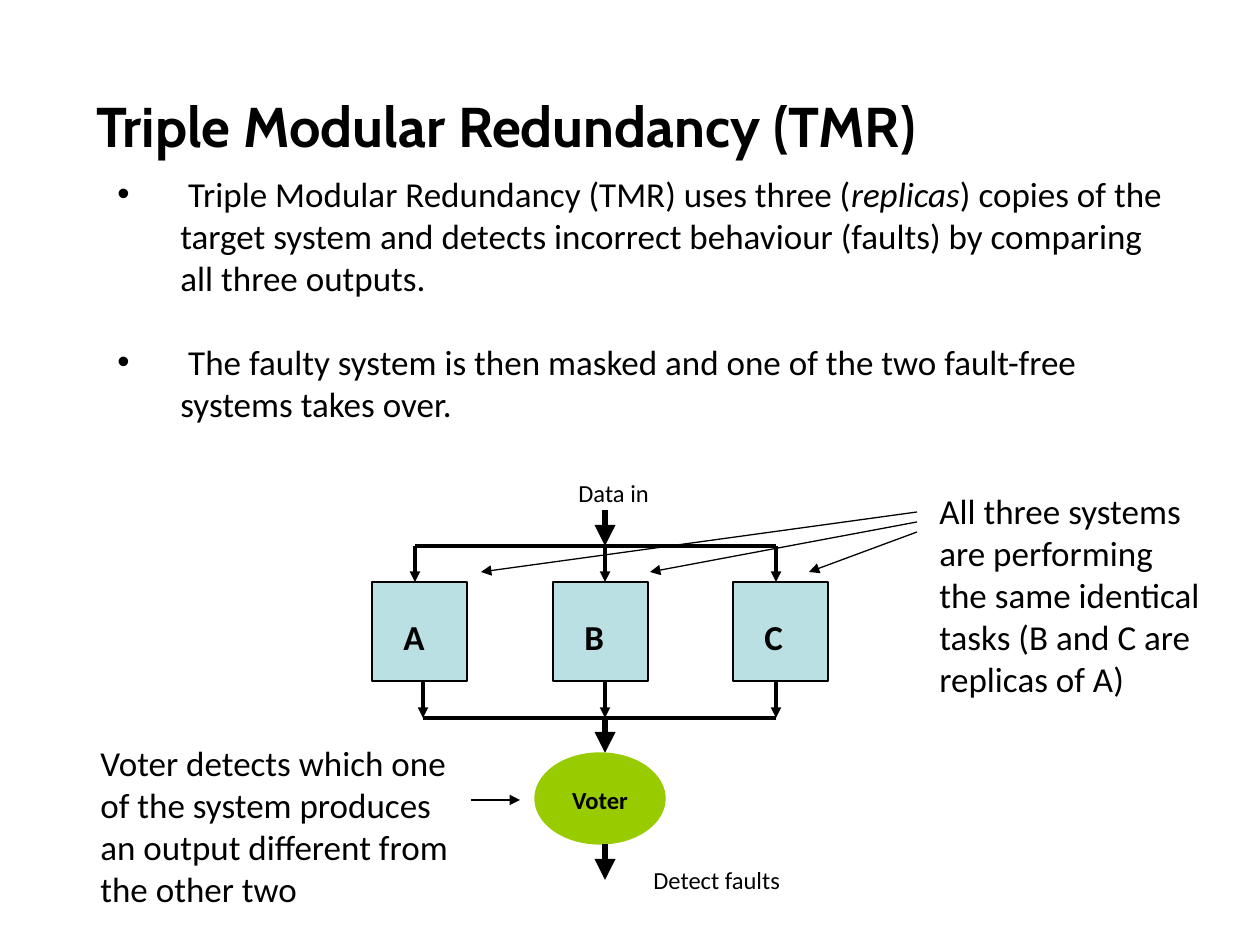
from collections import namedtuple
from dataclasses import dataclass

from lxml import etree
from pptx import Presentation
from pptx.dml.color import RGBColor
from pptx.enum import shapes, text
from pptx.oxml import ns
from pptx.util import Emu, Pt

PX = 914400 / 126  # EMU in one px
Box = namedtuple("Box", "left top width height")


@dataclass(frozen=True)
class Theme:
    ink: str = "000000"
    module: str = "BBE0E3"
    voter: str = "99CC00"
    heading_font: str = "Cabin"
    body_font: str = "Calibri"
    title_size: int = 32
    body_size: int = 20
    label_size: int = 14
    thin: float = 0.75
    medium: float = 2
    thick: float = 4


THEME = Theme()


def px(length):
    return Emu(round(length * PX))


def inside(box, left, top, width, height):
    return Box(box.left + left, box.top + top, width, height)


def add_element(parent, tag, **attributes):
    element = etree.SubElement(parent, ns.qn(tag))
    for name, value in attributes.items():
        element.set(name, value)
    return element


def style_font(font, **values):
    values = {"name": THEME.body_font, "size": THEME.body_size, **values}
    values["size"] = Pt(values["size"])
    for name, value in values.items():
        setattr(font, name, value)
    font.color.rgb = RGBColor.from_string(THEME.ink)


def add_text(slide, box, words, wrap=True, align=text.PP_ALIGN.LEFT, **font):
    shape = slide.shapes.add_textbox(*map(px, box))
    frame = shape.text_frame
    frame.word_wrap = wrap
    paragraph = frame.paragraphs[0]
    paragraph.alignment = align
    run = paragraph.add_run()
    run.text = words
    style_font(run.font, **font)
    return shape


def add_block(slide, preset, box, fill, line):
    shape = slide.shapes.add_shape(preset, *map(px, box))
    shape.shadow.inherit = False
    shape.fill.solid()
    shape.fill.fore_color.rgb = RGBColor.from_string(fill)
    shape.line.color.rgb = RGBColor.from_string(line)
    shape.line.width = Pt(THEME.thin)


def add_line(slide, box, start, end, weight, arrow=True):
    """Draw a line between two points relative to the box."""
    points = (box.left + start[0], box.top + start[1],
              box.left + end[0], box.top + end[1])
    connector = slide.shapes.add_connector(
        shapes.MSO_CONNECTOR.STRAIGHT, *map(px, points))
    connector.line.color.rgb = RGBColor.from_string(THEME.ink)
    connector.line.width = Pt(weight)
    if arrow:
        add_element(connector.line._get_or_add_ln(), "a:tailEnd", type="triangle")
    add_element(connector._element.spPr, "a:effectLst")


def add_title(slide, box):
    shape = add_text(slide, box, "Triple Modular Redundancy (TMR)",
                     name=THEME.heading_font, size=THEME.title_size, bold=True)
    shape.text_frame.margin_top = px(10)


def add_bullets(slide, box):
    bullets = (
        ((" Triple Modular Redundancy (TMR) uses three (", False),
         ("replicas", True),
         (") copies of the target system and detects incorrect behaviour "
          "(faults) by comparing all three outputs.", False)),
        ((" The faulty system is then masked and one of the two "
          "fault-free systems takes over.", False),),
    )
    frame = slide.shapes.add_textbox(*map(px, box)).text_frame
    frame.word_wrap = True
    for index, runs in enumerate(bullets):
        paragraph = frame.add_paragraph() if index else frame.paragraphs[0]
        if index:
            paragraph.space_before = Pt(24)
        properties = paragraph._p.get_or_add_pPr()
        properties.set("marL", str(px(63)))
        properties.set("indent", str(-px(63)))
        add_element(properties, "a:buFont", typeface="Arial")
        add_element(properties, "a:buChar", char="•")
        for words, italic in runs:
            run = paragraph.add_run()
            run.text = words
            style_font(run.font, italic=italic)


def add_diagram(slide, box):
    middle, right = 233, 404
    bus_in, bus_out = 74, 246

    # Input and the bus that feeds the modules
    add_text(slide, inside(box, 194, 0, 97, 42), "Data in", wrap=False,
             size=THEME.label_size)
    add_line(slide, box, (middle, 38), (middle, bus_in), THEME.thick)
    add_line(slide, box, (43, bus_in), (right, bus_in), THEME.medium, arrow=False)

    # Three modules, each with an arrow in and an arrow out
    modules = (("A", 0, 43, 51), ("B", 181, middle, middle), ("C", 361, right, right))
    for name, left, entry, outlet in modules:
        add_block(slide, shapes.MSO_SHAPE.RECTANGLE, inside(box, left, 110, 95, 99),
                  THEME.module, THEME.ink)
        add_text(slide, inside(box, left + 19, 137, 69, 54), name, bold=True)
        add_line(slide, box, (entry, bus_in), (entry, 110), THEME.medium)
        add_line(slide, box, (outlet, 209), (outlet, bus_out), THEME.medium)

    # Bus that collects the outputs, voter and result
    add_line(slide, box, (51, bus_out), (right, bus_out), THEME.medium, arrow=False)
    add_line(slide, box, (middle, bus_out), (middle, 281), THEME.thick)
    add_block(slide, shapes.MSO_SHAPE.OVAL, inside(box, 163, 281, 130, 91),
              THEME.voter, THEME.voter)
    add_text(slide, inside(box, 181, 307, 94, 43), "Voter",
             align=text.PP_ALIGN.CENTER, size=THEME.label_size, bold=True)
    add_line(slide, box, (middle, 372), (middle, 408), THEME.thick)
    add_text(slide, inside(box, 269, 387, 154, 43), "Detect faults", wrap=False,
             size=THEME.label_size)


def add_note(slide, box, words, arrows):
    add_text(slide, box, words)
    for start, end in arrows:
        add_line(slide, box, start, end, THEME.thin)


def main():
    presentation = Presentation()
    presentation.slide_width, presentation.slide_height = px(1260), px(945)
    slide = presentation.slides.add_slide(presentation.slide_layouts[6])

    add_title(slide, Box(84, 82, 1071, 53))
    add_bullets(slide, Box(105, 166, 1081, 267))
    add_diagram(slide, Box(372, 472, 456, 430))
    add_note(slide, Box(927, 483, 292, 224),
             "All three systems are performing the same identical tasks "
             "(B and C are replicas of A)",
             [((-10, 29 + 10 * index), (target, 89))
              for index, target in enumerate((-446, -277, -118))])
    add_note(slide, Box(88, 735, 379, 183),
             "Voter detects which one of the system produces an output "
             "different from the other two",
             [((383, 65), (432, 65))])

    presentation.save("out.pptx")


if __name__ == "__main__":
    main()
